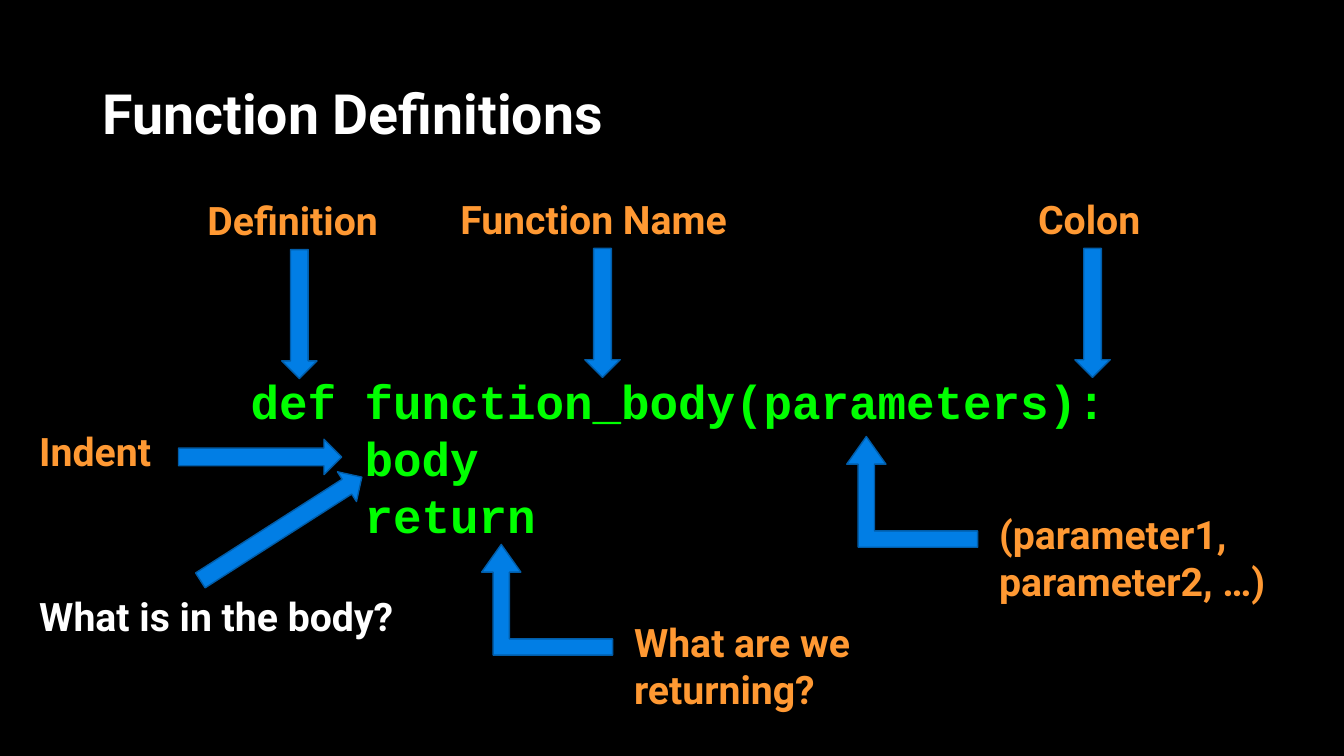
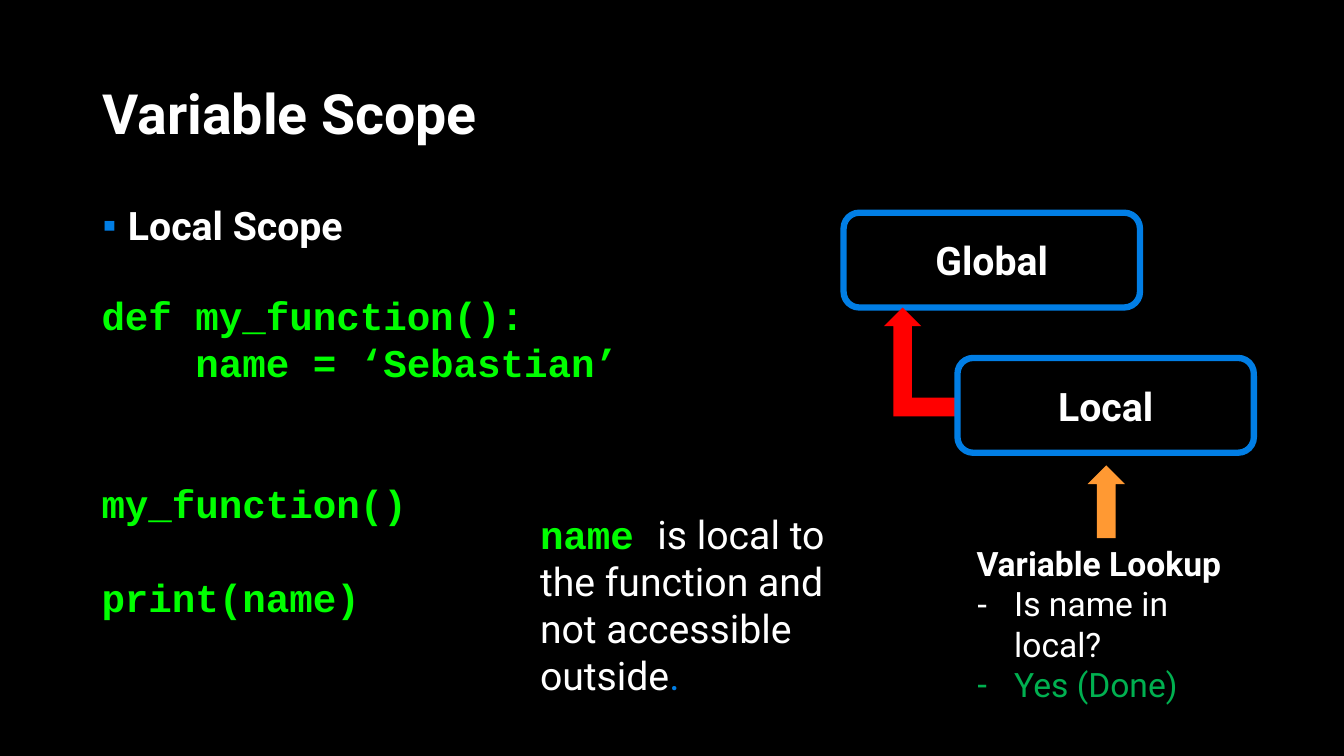
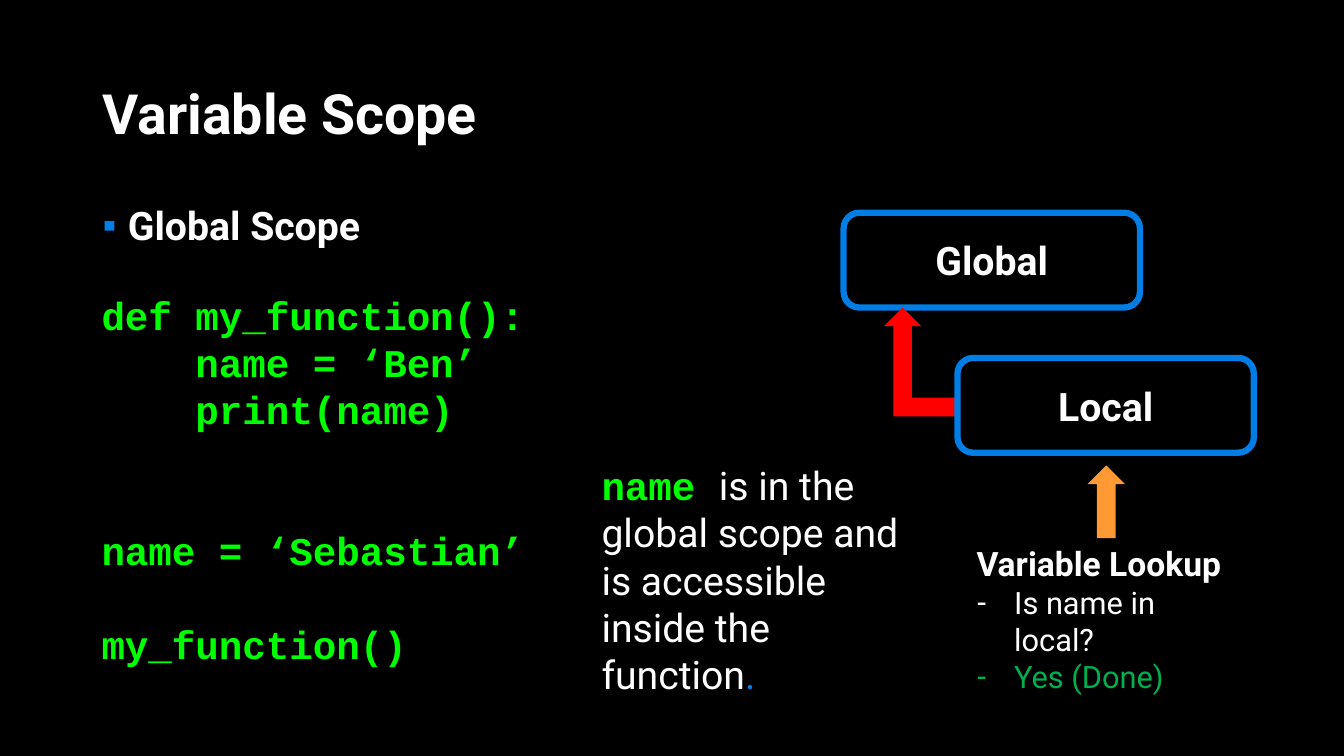
from lxml import etree
from pptx import Presentation
from pptx.dml.color import RGBColor
from pptx.enum.shapes import MSO_SHAPE
from pptx.enum.text import MSO_ANCHOR, MSO_AUTO_SIZE, PP_ALIGN
from pptx.oxml.ns import qn
from pptx.util import Cm, Pt

DOWN, UP, RIGHT = MSO_SHAPE.DOWN_ARROW, MSO_SHAPE.UP_ARROW, MSO_SHAPE.RIGHT_ARROW
BENT, ROUNDED = MSO_SHAPE.BENT_UP_ARROW, MSO_SHAPE.ROUNDED_RECTANGLE
TOP, MIDDLE = MSO_ANCHOR.TOP, MSO_ANCHOR.MIDDLE
LEFT, CENTER = PP_ALIGN.LEFT, PP_ALIGN.CENTER
NO_FIT = MSO_AUTO_SIZE.NONE

BLACK, WHITE, ORANGE, BLUE = "000000", "FFFFFF", "FF9933", "017EE5"
DARK_BLUE, GREEN, LIME, RED = "015DA9", "00B050", "00FF00", "FF0000"
SANS, MONO = "Roboto", "Courier New"
TITLE_LAYOUT, LIST_LAYOUT = 5, 1
LINE_HEIGHT = 1.2
ARROW_WIDTH = 0.89


def rgb(value):
    """Return the colour for a hex string."""
    return RGBColor.from_string(value)


def set_font(font, size, color, name=SANS, bold=True):
    """Format the font of a paragraph or a span."""
    font.size, font.name, font.bold = Pt(size), name, bold
    font.color.rgb = rgb(color)


def set_bullet(para, mark, indent, color=None):
    """Give a paragraph a hanging bullet."""
    props = para._p.get_or_add_pPr()
    props.set("marL", str(Cm(indent)))
    props.set("indent", str(-Cm(indent)))
    if color:
        fill = etree.SubElement(props, qn("a:buClr"))
        etree.SubElement(fill, qn("a:srgbClr")).set("val", color)
    etree.SubElement(props, qn("a:buFont")).set("typeface", "Arial")
    etree.SubElement(props, qn("a:buChar")).set("char", mark)


def place(shape, left, top, width, height):
    """Move and size a placeholder."""
    shape.left, shape.top = Cm(left), Cm(top)
    shape.width, shape.height = Cm(width), Cm(height)


def prepare_frame(shape, anchor=TOP):
    """Set wrapping and anchoring, and return the text frame."""
    frame = shape.text_frame
    frame.word_wrap, frame.auto_size = True, NO_FIT
    frame.vertical_anchor = anchor
    return frame


def add_frame(page, left, top, width, height):
    """Add a text box and return its frame."""
    box = page.shapes.add_textbox(Cm(left), Cm(top), Cm(width), Cm(height))
    return prepare_frame(box)


def add_lines(frame, lines, size, color, name=SANS):
    """Write one paragraph a line, turning gaps into space before."""
    para, gap = frame.paragraphs[0], 0
    for number, line in enumerate(lines):
        if not line:
            gap += 1
            continue
        if number:
            para = frame.add_paragraph()
        para.text = line
        if gap:
            para.space_before = Pt(round(gap * size * LINE_HEIGHT, 1))
        set_font(para.font, size, color, name)
        gap = 0


def add_label(page, left, top, width, text, color=ORANGE):
    """Add a label of one or more lines."""
    lines = text.split("\n")
    frame = add_frame(page, left, top, width, 1.45 * len(lines))
    add_lines(frame, lines, 28, color)


def add_figure(page, kind, left, top, width, height, fill=None, line=None, weight=1):
    """Add a preset shape with a plain fill and outline."""
    shape = page.shapes.add_shape(kind, Cm(left), Cm(top), Cm(width), Cm(height))
    shape.shadow.inherit = False
    if fill:
        shape.fill.solid()
        shape.fill.fore_color.rgb = rgb(fill)
    else:
        shape.fill.background()
    if line:
        shape.line.color.rgb = rgb(line)
        shape.line.width = Pt(weight)
    else:
        shape.line.fill.background()
    return shape


def flip(shape):
    """Mirror a shape from left to right."""
    shape._element.spPr.find(qn("a:xfrm")).set("flipH", "1")


def add_page(deck, layout, title):
    """Add a page with the shared title style."""
    page = deck.slides.add_slide(deck.slide_layouts[layout])
    place(page.shapes.title, 2.33, 2.03, 29.21, 1.83)
    para = prepare_frame(page.shapes.title, MIDDLE).paragraphs[0]
    para.text, para.alignment, para.line_spacing = title, LEFT, 0.9
    set_font(para.font, 39.6, WHITE)
    return page


def add_pointed_label(page, left, top, width, text):
    """Add a label with a down arrow centred below it."""
    add_label(page, left, top, width, text)
    arrow_left = left + (width - ARROW_WIDTH) / 2
    add_figure(page, DOWN, arrow_left, top + 1.46, ARROW_WIDTH, 3.25, BLUE, DARK_BLUE)


def add_bent_label(page, left, top, width, text):
    """Add a bent arrow with a label at its tail."""
    arrow = add_figure(page, BENT, left, top, 3.3, 2.79, BLUE, DARK_BLUE)
    for index, value in enumerate((0.147, 0.177, 0.25)):
        arrow.adjustments[index] = value
    flip(arrow)
    add_label(page, left + 3.59, top + 1.74, width, text)


def add_definition_page(deck):
    """Build the page on the parts of a function."""
    page = add_page(deck, TITLE_LAYOUT, "Function Definitions")
    code = ["def function_body(parameters):", "    body", "    return"]
    add_lines(add_frame(page, 6.07, 9.25, 22.28, 4.62), code, 34, LIME, MONO)
    add_pointed_label(page, 4.98, 4.83, 5.13, "Definition")
    add_pointed_label(page, 11.35, 4.8, 7.67, "Function Name")
    add_pointed_label(page, 25.91, 4.8, 3.25, "Colon")
    add_bent_label(page, 21.34, 11, 7.77, "(parameter1,\nparameter2, …)")
    add_bent_label(page, 12.14, 13.72, 6.45, "What are we\nreturning?")
    add_label(page, 0.74, 10.64, 3.58, "Indent")
    add_figure(page, RIGHT, 4.5, 11.07, 4.11, ARROW_WIDTH, BLUE, DARK_BLUE)
    add_label(page, 0.74, 14.81, 10.11, "What is in the body?", WHITE)
    arrow = add_figure(page, RIGHT, 4.67, 12.88, 4.83, ARROW_WIDTH, BLUE, DARK_BLUE)
    arrow.rotation = 327.4


def add_scope_box(page, left, top, text):
    """Add an outlined box that names a scope."""
    shape = add_figure(page, ROUNDED, left, top, 7.47, 2.39, None, BLUE, 4.5)
    para = prepare_frame(shape, MIDDLE).paragraphs[0]
    para.text, para.alignment = text, CENTER
    set_font(para.font, 28, WHITE)


def add_lookup(page, left, top, size):
    """Add the lookup steps."""
    frame = add_frame(page, left, top, 6.86, 3.33)
    add_lines(frame, ["Variable Lookup"], 24, WHITE)
    for text, color in (("Is name in local?", WHITE), ("Yes (Done)", GREEN)):
        para = frame.add_paragraph()
        para.text = text
        set_bullet(para, "-", 0.95)
        set_font(para.font, size, color, bold=False)


def add_scope_diagram(page, left, top, lookup_size):
    """Add the nested scopes and the lookup below them."""
    add_scope_box(page, left, top, "Global")
    flip(add_figure(page, BENT, left + 1.02, top + 2.39, 1.88, 2.74, RED))
    add_scope_box(page, left + 2.87, top + 3.66, "Local")
    add_figure(page, UP, left + 6.15, top + 6.37, 0.94, 1.83, ORANGE)
    add_lookup(page, left + 3.1, top + 8.2, lookup_size)


def add_note(page, left, top, width, height, text):
    """Add the remark on the variable called name."""
    para = add_frame(page, left, top, width, height).paragraphs[0]
    parts = (("name ", LIME, MONO, True), (text, WHITE, SANS, False), (".", BLUE, SANS, False))
    for words, color, name, bold in parts:
        span = para.add_run()
        span.text = words
        set_font(span.font, 28, color, name, bold)


def add_scope_page(deck, heading, code, note, note_box, lookup_size):
    """Build a page on one variable scope."""
    page = add_page(deck, LIST_LAYOUT, "Variable Scope")
    body = page.placeholders[1]
    place(body, 2.33, 5.08, 18.92, 2)
    para = prepare_frame(body).paragraphs[0]
    para.text, para.line_spacing = heading, 0.9
    set_bullet(para, "▪", 0.64, BLUE)
    set_font(para.font, 28, WHITE)
    add_lines(add_frame(page, 2.31, 7.21, 13.64, 1.2 * len(code)), code, 28, LIME, MONO)
    add_note(page, *note_box, note)
    add_scope_diagram(page, 21.26, 5.36, lookup_size)


def main():
    """Build and save the deck."""
    deck = Presentation()
    deck.slide_width, deck.slide_height = Cm(33.87), Cm(19.05)
    background = deck.slide_master.background.fill
    background.solid()
    background.fore_color.rgb = rgb(BLACK)
    add_definition_page(deck)
    local_code = ["def my_function():", "    name = ‘Sebastian’", "", "",
                  "my_function()", "", "print(name)"]
    add_scope_page(deck, "Local Scope", local_code,
                   "is local to the function and not accessible outside",
                   (13.36, 12.73, 7.7, 5.05), 24)
    global_code = ["def my_function():", "    name = ‘Ben’", "    print(name)", "", "",
                   "name = ‘Sebastian’", "", "my_function()"]
    add_scope_page(deck, "Global Scope", global_code,
                   "is in the global scope and is accessible inside the function",
                   (14.91, 11.51, 8.23, 6.25), 22)
    deck.save("out.pptx")


if __name__ == "__main__":
    main()
